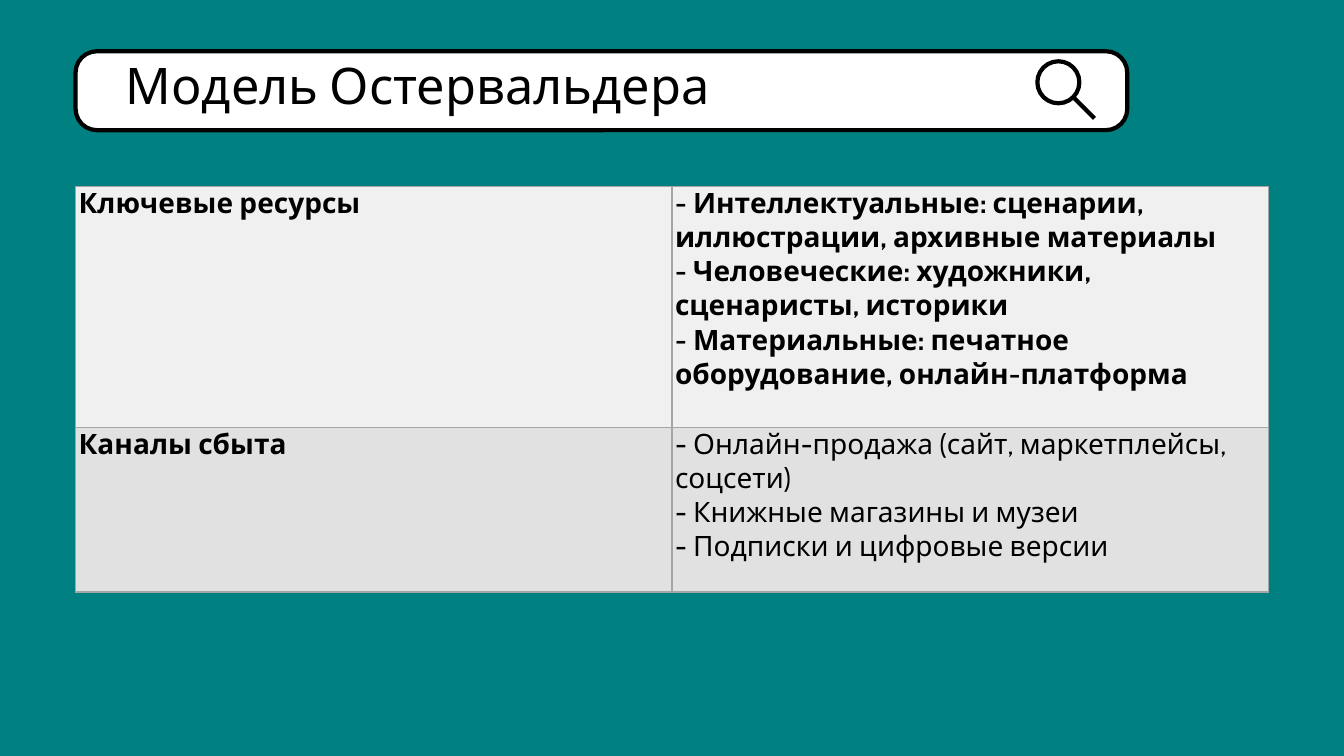
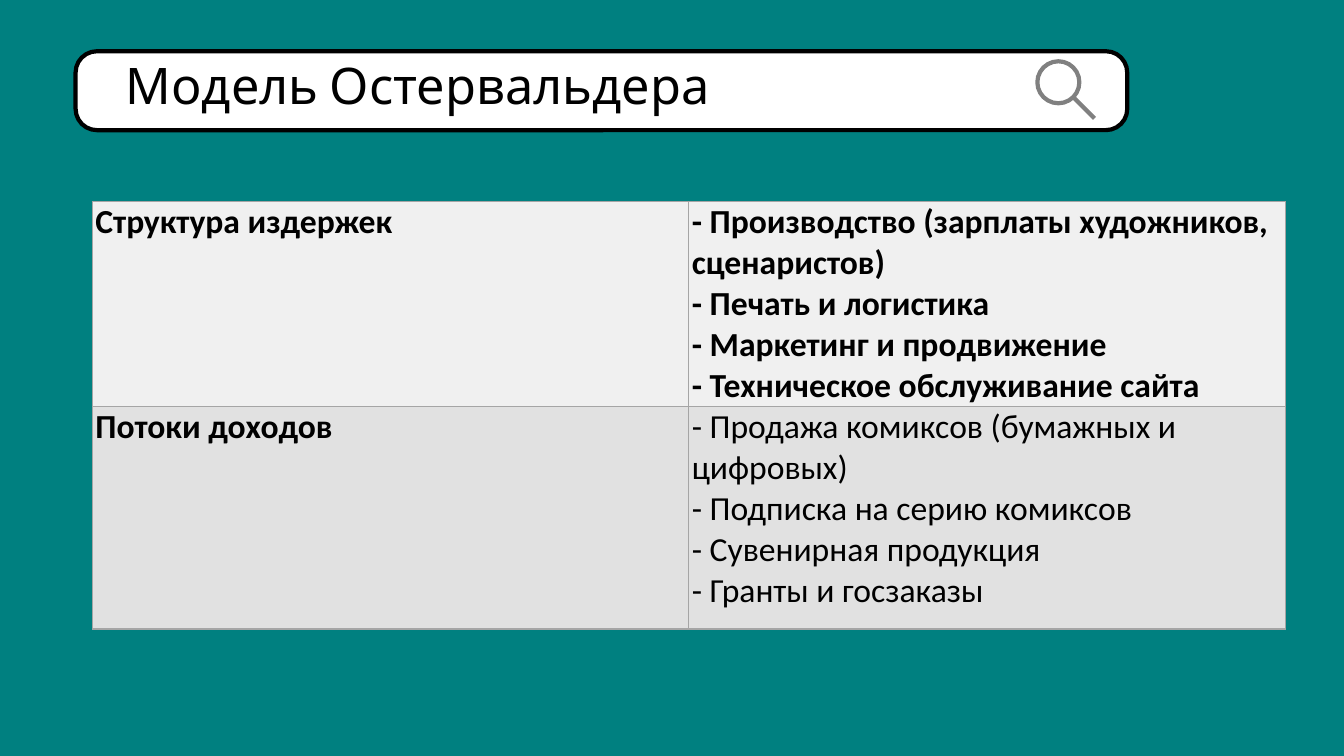
"""Build two business model slides, each with a search-bar title and a table."""
import lxml.etree
import pptx
import pptx.dml.color
import pptx.enum.shapes
import pptx.oxml.ns
import pptx.util

COLORS = {
    "teal": "008080",
    "white": "FFFFFF",
    "black": "000000",
    "gray": "808080",
    "border": "A5A5A5",
    "light": "F0F0F0",
    "dark": "E1E1E1",
}
TITLE = "Модель Остервальдера"
ROW_FILLS = ["light", "dark"]
GRID_COLUMNS = 160
TABLE_COLUMN = 71

SLIDES = [
    {
        "icon": "black", "font": "Cabin", "size": 20,
        "corner": (9, 22.2), "heights": [28.7, 19.6],
        "rows": [
            ("Ключевые ресурсы", [
                "- Интеллектуальные: сценарии, иллюстрации, архивные материалы",
                "- Человеческие: художники, сценаристы, историки",
                "- Материальные: печатное оборудование, онлайн-платформа",
            ]),
            ("Каналы сбыта", [
                "- Онлайн-продажа (сайт, маркетплейсы, соцсети)",
                "- Книжные магазины и музеи",
                "- Подписки и цифровые версии",
            ]),
        ],
    },
    {
        "icon": "gray", "font": "Calibri", "size": 24,
        "corner": (11, 24), "heights": [24.4, 26.5],
        "rows": [
            ("Структура издержек", [
                "- Производство (зарплаты художников, сценаристов)",
                "- Печать и логистика",
                "- Маркетинг и продвижение",
                "- Техническое обслуживание сайта",
            ]),
            ("Потоки доходов", [
                "- Продажа комиксов (бумажных и цифровых)",
                "- Подписка на серию комиксов",
                "- Сувенирная продукция",
                "- Гранты и госзаказы",
            ]),
        ],
    },
]

deck = pptx.Presentation()
deck.slide_width = pptx.util.Inches(13.33)
deck.slide_height = pptx.util.Inches(7.5)


def grid(*steps):
    """Turn grid steps into lengths."""
    return [pptx.util.Emu(round(step * deck.slide_width / GRID_COLUMNS)) for step in steps]


def write(frame, text, font="Cabin", size=20, bold=False, spacing=None):
    """Fill a text frame, with a line break between the lines of text."""
    frame.word_wrap = True
    para = frame.paragraphs[0]
    para.line_spacing = spacing
    for number, line in enumerate(text.split("\n")):
        if number:
            para.add_line_break()
        span = para.add_run()
        span.text = line
        span.font.name = font
        span.font.size = pptx.util.Pt(size)
        span.font.bold = bold
        span.font.color.rgb = pptx.dml.color.RGBColor.from_string(COLORS["black"])


backdrop = deck.slide_master.background.fill
backdrop.solid()
backdrop.fore_color.rgb = pptx.dml.color.RGBColor.from_string(COLORS["teal"])
shape_kinds = pptx.enum.shapes.MSO_SHAPE

for content in SLIDES:
    page = deck.slides.add_slide(deck.slide_layouts[6])

    table = page.shapes.add_table(
        2, 2, *grid(*content["corner"], 2 * TABLE_COLUMN, sum(content["heights"]))
    ).table
    table.first_row = False
    table.horz_banding = False
    for column in table.columns:
        column.width = grid(TABLE_COLUMN)[0]
    for row, height, fill, (heading, points) in zip(
        table.rows, content["heights"], ROW_FILLS, content["rows"]
    ):
        row.height = grid(height)[0]
        texts = [(heading, True), ("\n".join(points), fill == "light")]
        for cell, (text, bold) in zip(row.cells, texts):
            cell.margin_left = cell.margin_right = pptx.util.Inches(0.03)
            cell.margin_top = cell.margin_bottom = 0
            properties = cell._tc.get_or_add_tcPr()
            for side in ("a:lnL", "a:lnR", "a:lnT", "a:lnB"):
                border = lxml.etree.SubElement(
                    properties, pptx.oxml.ns.qn(side), w=str(pptx.util.Pt(1))
                )
                paint = lxml.etree.SubElement(border, pptx.oxml.ns.qn("a:solidFill"))
                lxml.etree.SubElement(
                    paint, pptx.oxml.ns.qn("a:srgbClr"), val=COLORS["border"]
                )
            cell.fill.solid()
            cell.fill.fore_color.rgb = pptx.dml.color.RGBColor.from_string(COLORS[fill])
            write(cell.text_frame, text, font=content["font"], size=content["size"], bold=bold)

    search = page.shapes.add_group_shape().shapes
    bar = search.add_shape(shape_kinds.ROUNDED_RECTANGLE, *grid(9, 6.1, 125.2, 9.4))
    bar.adjustments[0] = 0.27
    bar.shadow.inherit = False
    bar.fill.solid()
    bar.fill.fore_color.rgb = pptx.dml.color.RGBColor.from_string(COLORS["white"])

    box = search.add_textbox(*grid(13.8, 7.2, 89, 7))
    box.text_frame.margin_top = box.text_frame.margin_bottom = 0
    write(box.text_frame, TITLE, size=36, spacing=0.9)

    lens = search.add_shape(shape_kinds.OVAL, *grid(123.5, 7.3, 5, 5))
    lens.shadow.inherit = False
    lens.fill.background()
    handle = search.add_connector(
        pptx.enum.shapes.MSO_CONNECTOR.STRAIGHT, *grid(127.8, 11.6, 130.3, 14.1)
    )
    lxml.etree.SubElement(handle._element.spPr, pptx.oxml.ns.qn("a:effectLst"))
    for outlined, color in ((bar, "black"), (lens, content["icon"]), (handle, content["icon"])):
        outlined.line.color.rgb = pptx.dml.color.RGBColor.from_string(COLORS[color])
        outlined.line.width = pptx.util.Pt(3)
    effects = handle._element.spPr.find(pptx.oxml.ns.qn("a:effectLst"))
    handle._element.spPr.append(effects)

deck.save("out.pptx")
